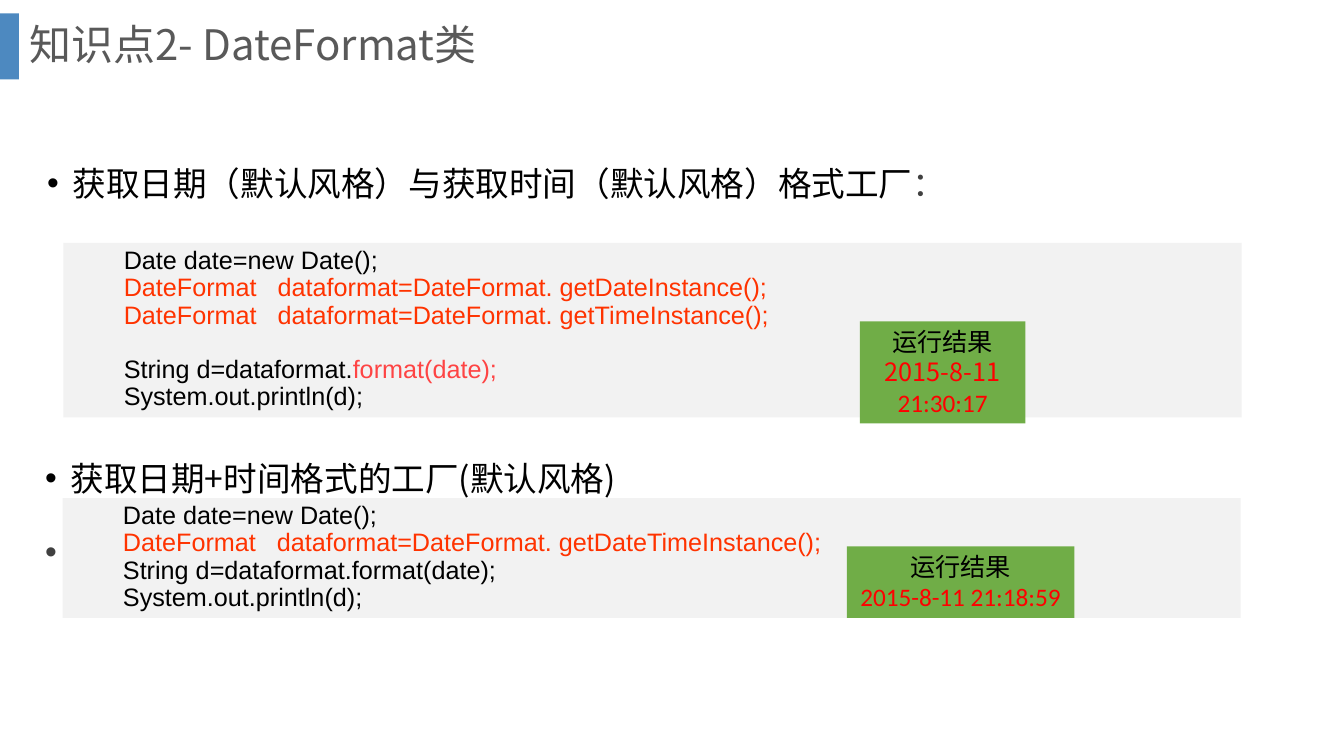
from lxml.etree import SubElement
from pptx import Presentation
from pptx.dml.color import RGBColor
from pptx.enum.shapes import MSO_SHAPE
from pptx.enum.text import MSO_ANCHOR, PP_ALIGN
from pptx.oxml.ns import qn
from pptx.util import Cm, Pt

COLORS = {
    "bar": "2E75B6", "title": "595959", "text": "000000", "colon": "404040",
    "panel": "F2F2F2", "highlight": "FF3300", "call": "FE4444",
    "result": "70AD47", "output": "FF0000",
}
CJK_FONT = "Noto Sans CJK SC"
CODE_LINE = 19.4  # height of one line of code, in points


def add_text(paragraph, text, font=CJK_FONT, size=18, color="text"):
    run = paragraph.add_run()
    run.text = text
    run.font.name = font
    run.font.size = Pt(size)
    run.font.color.rgb = RGBColor.from_string(COLORS[color])
    east_asian = SubElement(run.font._element, qn("a:ea"))
    east_asian.set("typeface", CJK_FONT)


def set_indent(paragraph, left, first, bullet=None):
    properties = paragraph._p.get_or_add_pPr()
    properties.set("marL", str(Cm(left)))
    properties.set("indent", str(Cm(first)))
    if bullet:
        SubElement(properties, qn("a:buFont")).set("typeface", "Arial")
        SubElement(properties, qn("a:buChar")).set("char", bullet)


def paragraphs_for(frame, items):
    """Yield each item with its paragraph, starting with the one the frame has."""
    for index, item in enumerate(items):
        yield (frame.add_paragraph() if index else frame.paragraphs[0]), item


class SlideBuilder:
    def __init__(self, presentation):
        self.slide = presentation.slides.add_slide(presentation.slide_layouts[5])

    def title(self, text, left, top, width, height):
        shape = self.slide.shapes.title
        shape.left, shape.top, shape.width, shape.height = map(Cm, (left, top, width, height))
        frame = shape.text_frame
        frame.vertical_anchor = MSO_ANCHOR.MIDDLE
        paragraph = frame.paragraphs[0]
        paragraph.alignment = PP_ALIGN.LEFT
        paragraph.line_spacing = 0.9
        add_text(paragraph, text, size=30, color="title")

    def rectangle(self, color, left, top, width, height, opacity=None):
        shape = self.slide.shapes.add_shape(
            MSO_SHAPE.RECTANGLE, *map(Cm, (left, top, width, height)))
        shape.shadow.inherit = False
        shape.fill.solid()
        shape.fill.fore_color.rgb = RGBColor.from_string(COLORS[color])
        shape.line.fill.background()
        if opacity:
            fill_color = shape._element.spPr.find(".//" + qn("a:srgbClr"))
            SubElement(fill_color, qn("a:alpha")).set("val", str(opacity * 1000))
        return shape

    def bullets(self, items, left, top, width, height):
        """Add bulleted paragraphs, each a list of (text, color) runs."""
        box = self.slide.shapes.add_textbox(*map(Cm, (left, top, width, height)))
        frame = box.text_frame
        frame.word_wrap = True
        for paragraph, runs in paragraphs_for(frame, items):
            paragraph.line_spacing = 1.5
            paragraph.space_before = Pt(10)
            set_indent(paragraph, 0.64, -0.64, bullet="•")
            for text, color in runs:
                add_text(paragraph, text, size=24, color=color)

    def code(self, lines, left, top, width, height, gap_before=None):
        """Add a code panel; gap_before is the line that follows an empty row."""
        frame = self.rectangle("panel", left, top, width, height).text_frame
        frame.vertical_anchor = MSO_ANCHOR.TOP
        for paragraph, (number, runs) in paragraphs_for(frame, enumerate(lines)):
            paragraph.alignment = PP_ALIGN.LEFT
            paragraph.line_spacing = 0.9
            if number == gap_before:
                paragraph.space_before = Pt(CODE_LINE)
            set_indent(paragraph, 2.22, -0.95)
            for text, color in runs:
                add_text(paragraph, text, font="Arial", color=color)

    def result(self, lines, left, top, width, height):
        frame = self.rectangle("result", left, top, width, height).text_frame
        frame.word_wrap = True
        frame.vertical_anchor = MSO_ANCHOR.TOP
        for paragraph, (text, font, color) in paragraphs_for(frame, lines):
            paragraph.alignment = PP_ALIGN.CENTER
            add_text(paragraph, text, font=font, color=color)


def main():
    presentation = Presentation()
    presentation.slide_width, presentation.slide_height = Cm(33.87), Cm(19.05)
    builder = SlideBuilder(presentation)

    builder.rectangle("bar", 0, 0.34, 0.48, 1.66, opacity=85)
    builder.title("知识点2- DateFormat类", 0.48, 0, 32.16, 2.36)

    new_date = [("Date date=new Date();", "text")]
    print_line = [("System.out.println(d);", "text")]
    date_format, time_format, both_format = (
        [(f"DateFormat   dataformat=DateFormat. get{kind}Instance();", "highlight")]
        for kind in ("Date", "Time", "DateTime"))
    heading = ("运行结果", "Calibri", "text")

    builder.bullets(
        [[("获取日期（默认风格）与获取时间（默认风格）格式工厂", "text"), ("：", "colon")]],
        0.94, 3.48, 30.61, 7.26)
    builder.code(
        [new_date, date_format, time_format,
         [("String d=dataformat.", "text"), ("format(date);", "call")], print_line],
        1.6, 6.12, 29.69, 4.4, gap_before=3)

    builder.bullets(
        [[("获取日期+时间格式的工厂(默认风格)", "text")], [("：", "colon")]],
        0.89, 10.9, 30.61, 1.65)
    builder.code(
        [new_date, both_format, [("String d=dataformat.format(date);", "text")], print_line],
        1.58, 12.55, 29.69, 3.02)

    builder.result(
        [heading, ("2015-8-11", CJK_FONT, "output"), ("21:30:17", "Calibri", "output")],
        21.67, 8.1, 4.17, 2.57)
    builder.result(
        [heading, ("2015-8-11 21:18:59", "Calibri", "output")],
        21.34, 13.77, 5.74, 1.8)

    presentation.save("out.pptx")


if __name__ == "__main__":
    main()
